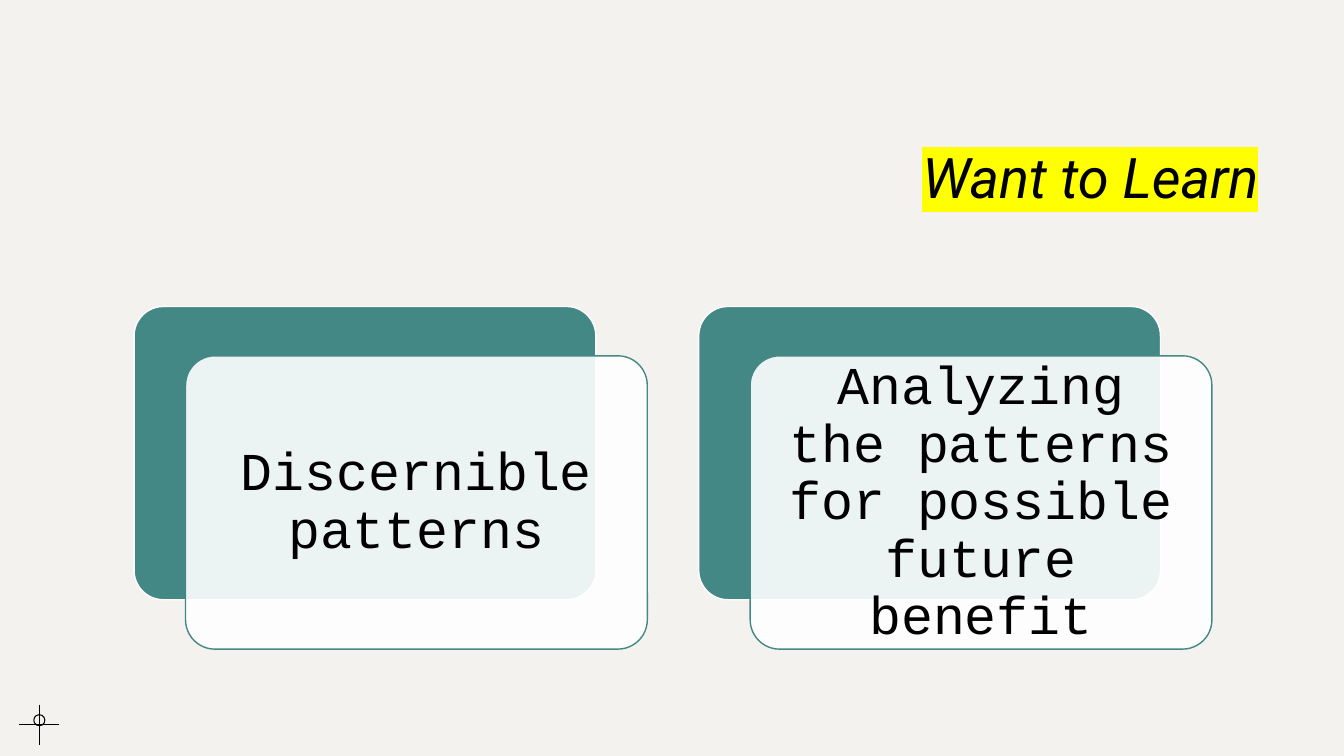
from lxml.etree import SubElement
from pptx import Presentation
from pptx.dml.color import RGBColor
from pptx.enum.shapes import MSO_CONNECTOR, MSO_SHAPE
from pptx.enum.text import MSO_ANCHOR, PP_ALIGN
from pptx.oxml import parse_xml
from pptx.oxml.ns import nsdecls, qn
from pptx.util import Inches, Pt

TITLE = "Want to Learn"
CARDS = ["Discernible patterns", "Analyzing the patterns for possible future benefit"]
COLORS = {"paper": "F3F2EE", "teal": "448885", "white": "FFFFFF",
          "ink": "000000", "marker": "FFFF00"}

SLIDE_WIDTH, SLIDE_HEIGHT = 13.33, 7.5
LEFT, CARD_TOP = 1.33, 3.04
CARD_WIDTH, CARD_HEIGHT = 4.58, 2.91
CARD_PITCH = 5.6
FRONT_SHIFT_X, FRONT_SHIFT_Y = 0.51, 0.49
CARD_PADDING = 0.16
MARK_X, MARK_Y, MARK_ARM = 0.39, 7.19, 0.2
RING_Y, RING_SIZE = 7.145, 0.11


def color(name):
    return RGBColor.from_string(COLORS[name])


def add_outlined(slide, kind, left, top, width, height, fill, line, line_width):
    shape = slide.shapes.add_shape(kind, Inches(left), Inches(top), Inches(width), Inches(height))
    shape.shadow.inherit = False
    if fill:
        shape.fill.solid()
        shape.fill.fore_color.rgb = color(fill)
    else:
        shape.fill.background()
    shape.line.color.rgb = color(line)
    shape.line.width = Pt(line_width)
    return shape


def write(text_frame, text, font_name, size, alignment, line_spacing):
    text_frame.word_wrap = True
    text_frame.text = text
    paragraph = text_frame.paragraphs[0]
    paragraph.alignment = alignment
    paragraph.line_spacing = line_spacing
    run = paragraph.runs[0]
    run.font.size = Pt(size)
    run.font.color.rgb = color("ink")
    run.font.name = font_name
    return run


def add_title(slide):
    box = slide.shapes.add_textbox(Inches(LEFT), Inches(0.4), Inches(11.25), Inches(1.73))
    box.text_frame.vertical_anchor = MSO_ANCHOR.BOTTOM
    run = write(box.text_frame, TITLE, "Roboto", 40, PP_ALIGN.RIGHT, 1.2)
    run.font.italic = True
    highlight = parse_xml(f'<a:highlight {nsdecls("a")}>'
                          f'<a:srgbClr val="{COLORS["marker"]}"/></a:highlight>')
    run.font._element.find(qn("a:latin")).addprevious(highlight)


def add_crosshair(slide):
    for dx, dy in ((MARK_ARM, 0), (0, MARK_ARM)):
        line = slide.shapes.add_connector(
            MSO_CONNECTOR.STRAIGHT, Inches(MARK_X - dx), Inches(MARK_Y - dy),
            Inches(MARK_X + dx), Inches(MARK_Y + dy))
        line.line.color.rgb = color("ink")
        line.line.width = Pt(0.75)
        SubElement(line._element.spPr, qn("a:effectLst"))
    add_outlined(slide, MSO_SHAPE.OVAL, MARK_X - RING_SIZE / 2, RING_Y - RING_SIZE / 2,
                 RING_SIZE, RING_SIZE, None, "ink", 0.75)


def add_card(slide, left, text):
    """Add a teal plate and, shifted over it, a translucent white card with the text."""
    layers = [(0, 0, "teal", "white"), (FRONT_SHIFT_X, FRONT_SHIFT_Y, "white", "teal")]
    for dx, dy, fill, line in layers:
        card = add_outlined(slide, MSO_SHAPE.ROUNDED_RECTANGLE, left + dx, CARD_TOP + dy,
                            CARD_WIDTH, CARD_HEIGHT, fill, line, 1)
        card.adjustments[0] = 0.1
    fill_color = card._element.spPr.find(qn("a:solidFill")).find(qn("a:srgbClr"))
    SubElement(fill_color, qn("a:alpha"), val="90000")
    frame = card.text_frame
    frame.margin_left = frame.margin_right = Inches(CARD_PADDING)
    frame.margin_top = frame.margin_bottom = Inches(CARD_PADDING)
    frame.vertical_anchor = MSO_ANCHOR.MIDDLE
    write(frame, text, "Courier New", 38, PP_ALIGN.CENTER, 0.9)


def main():
    presentation = Presentation()
    presentation.slide_width = Inches(SLIDE_WIDTH)
    presentation.slide_height = Inches(SLIDE_HEIGHT)
    slide = presentation.slides.add_slide(presentation.slide_layouts[6])
    slide.background.fill.solid()
    slide.background.fill.fore_color.rgb = color("paper")
    add_title(slide)
    add_crosshair(slide)
    for column, text in enumerate(CARDS):
        add_card(slide, LEFT + column * CARD_PITCH, text)
    presentation.save("out.pptx")


if __name__ == "__main__":
    main()
